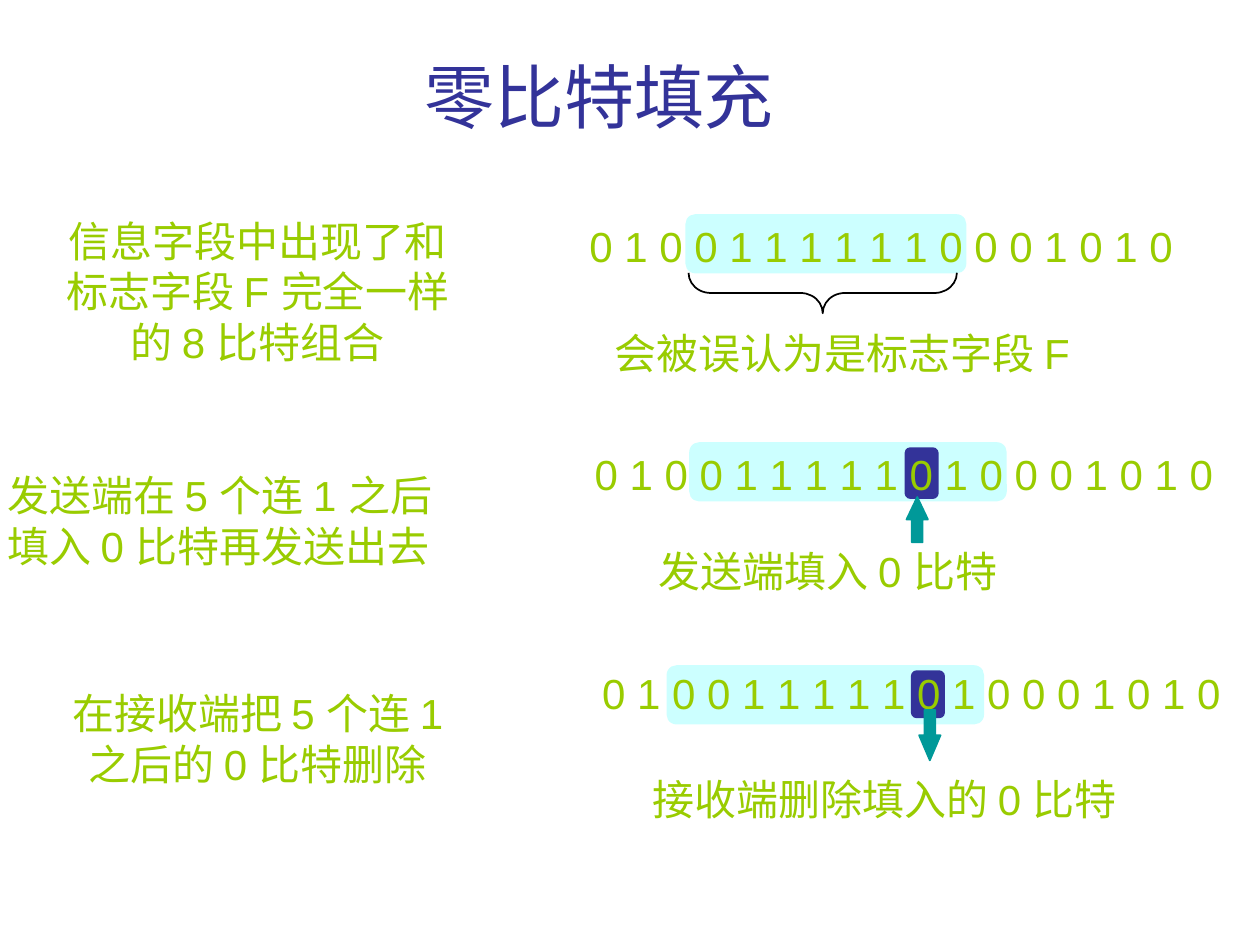
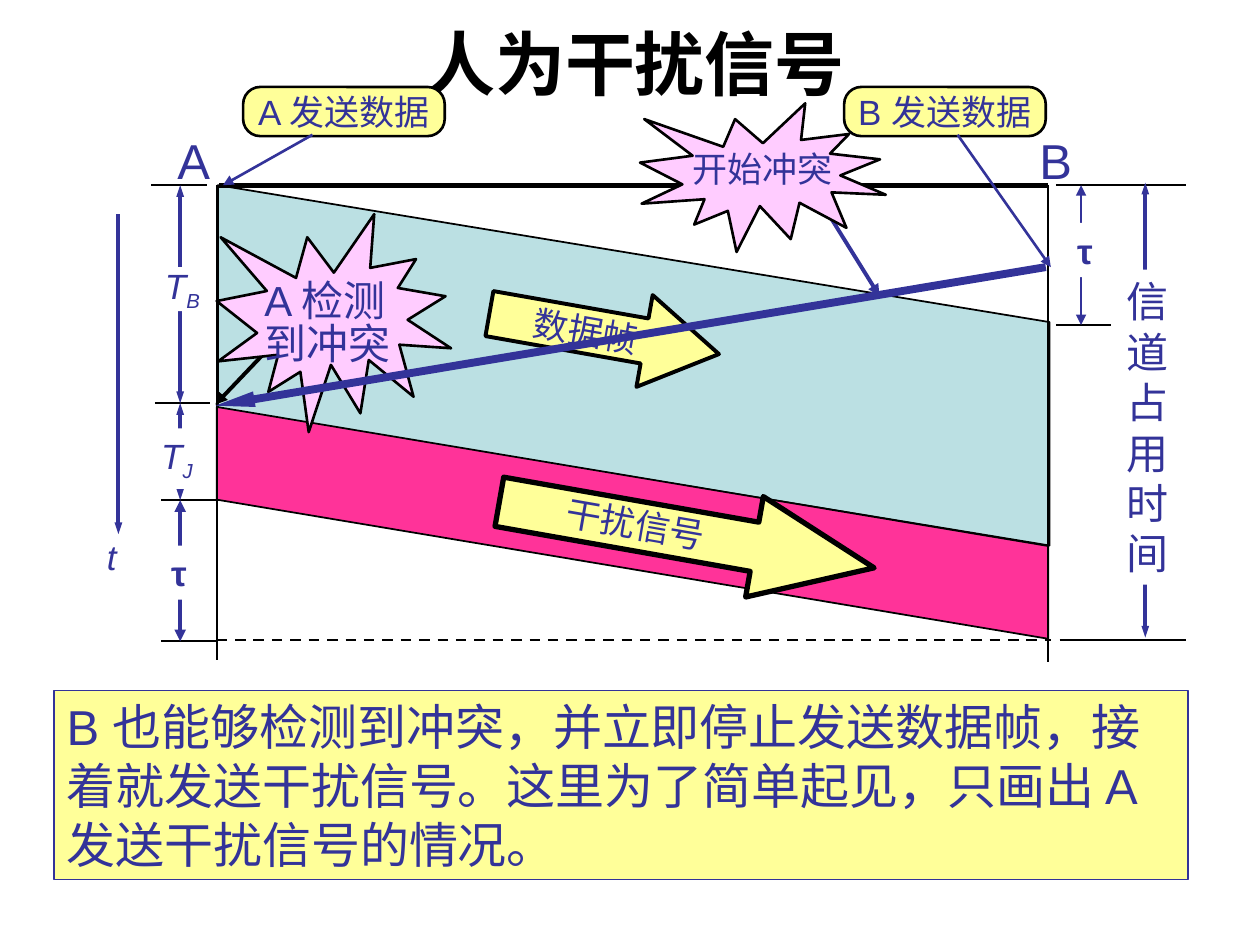
from dataclasses import dataclass

from lxml import etree
from pptx import Presentation
from pptx import util as u
from pptx.dml.color import RGBColor
from pptx.enum import dml, lang, shapes, text
from pptx.oxml import ns

# Shared grid: 100 columns by 75 rows
SLIDE_W, SLIDE_H = u.Inches(10), u.Inches(7.5)
COLUMN, ROW = SLIDE_W / 100, SLIDE_H / 75

# Shared colours and type
NAVY, LIME, TEAL, BLACK, WHITE = "333399", "99CC00", "009999", "000000", "FFFFFF"
ICE, YELLOW, PINK = "CCFFFF", "FFFF99", "FFCCFF"
FRAME_BLUE, JAM_PINK = "BBE0E3", "FF3399"
FONT, TITLE_FONT = "Arial", "Roboto"
TITLE_SIZE = 40
SHAPE = shapes.MSO_SHAPE
LEFT, CENTER = text.PP_ALIGN.LEFT, text.PP_ALIGN.CENTER

Box = tuple[float, float, float, float]


@dataclass
class Label:
    """Text in a box; subscript follows the last line."""
    box: Box
    lines: tuple[str, ...]
    size: float = 20
    color: str = NAVY
    bold: bool = False
    italic: bool = False
    subscript: str = ""
    align: text.PP_ALIGN = LEFT
    fill: str | None = None
    angle: float = 0
    spacing: float | None = None
    font: str = FONT


@dataclass
class Block:
    """A filled preset shape."""
    kind: shapes.MSO_SHAPE
    box: Box
    fill: str | None = None
    line: str | None = None
    weight: float = 1
    angle: float = 0
    adjust: tuple[float, ...] = ()


@dataclass
class Stroke:
    """A straight line with optional arrowheads."""
    start: tuple[float, float]
    end: tuple[float, float]
    color: str = BLACK
    weight: float = 1
    heads: tuple[str, ...] = ()
    head_width: str = "med"
    head_length: str = "med"
    dashed: bool = False


@dataclass
class BitRow:
    """A bit stream, its highlighted part and its explanation."""
    bits: Label
    highlight: Box
    note: Label
    caption: Label
    pointer: Block
    stuffed: Box | None = None


def rgb(hex_color: str) -> RGBColor:
    return RGBColor.from_string(hex_color)


def place(box: tuple[float, ...]) -> tuple[int, ...]:
    return tuple(round(v * unit) for v, unit in zip(box, (COLUMN, ROW) * 2))


def add_run(paragraph, words: str, label: Label, baseline: int = 0) -> None:
    run = paragraph.add_run()
    run.text = words
    font = run.font
    font.name, font.size = label.font, u.Pt(label.size)
    font.bold, font.italic = label.bold, label.italic
    font.color.rgb = rgb(label.color)
    font.language_id = lang.MSO_LANGUAGE_ID.SIMPLIFIED_CHINESE
    if baseline:
        run._r.get_or_add_rPr().set("baseline", str(baseline))


def write(frame, label: Label, wrap: bool = False) -> None:
    frame.word_wrap = wrap
    for index, line in enumerate(label.lines):
        paragraph = frame.paragraphs[0] if index == 0 else frame.add_paragraph()
        paragraph.alignment = label.align
        if label.spacing:
            paragraph.line_spacing = label.spacing
        add_run(paragraph, line, label)
    if label.subscript:
        add_run(paragraph, label.subscript, label, -25000)


def add_label(slide, label: Label) -> None:
    holder = slide.shapes.add_textbox(*place(label.box))
    holder.rotation = label.angle
    if label.fill:
        holder.fill.solid()
        holder.fill.fore_color.rgb = rgb(label.fill)
    write(holder.text_frame, label)


def add_block(slide, block: Block):
    shape = slide.shapes.add_shape(block.kind, *place(block.box))
    shape.shadow.inherit = False
    shape.rotation = block.angle
    for index, value in enumerate(block.adjust):
        shape.adjustments[index] = value
    if block.fill:
        shape.fill.solid()
        shape.fill.fore_color.rgb = rgb(block.fill)
    else:
        shape.fill.background()
    if block.line:
        shape.line.color.rgb = rgb(block.line)
        shape.line.width = u.Pt(block.weight)
    else:
        shape.line.fill.background()
    return shape


def add_stroke(slide, stroke: Stroke) -> None:
    connector = slide.shapes.add_connector(
        shapes.MSO_CONNECTOR.STRAIGHT, *place(stroke.start + stroke.end))
    connector.line.color.rgb = rgb(stroke.color)
    connector.line.width = u.Pt(stroke.weight)
    if stroke.dashed:
        connector.line.dash_style = dml.MSO_LINE.DASH
    outline = connector.line._get_or_add_ln()
    for end in stroke.heads:
        etree.SubElement(outline, ns.qn(f"a:{end}"), type="triangle",
                         w=stroke.head_width, len=stroke.head_length)
    etree.SubElement(connector._element.spPr, ns.qn("a:effectLst"))


def titled_slide(deck, title: Label):
    slide = deck.slides.add_slide(deck.slide_layouts[5])
    holder = slide.shapes.title
    holder.left, holder.top, holder.width, holder.height = place(title.box)
    frame = holder.text_frame
    frame.auto_size = text.MSO_AUTO_SIZE.NONE
    frame.vertical_anchor = text.MSO_ANCHOR.MIDDLE
    write(frame, title, wrap=True)
    return slide


# Slide 1: zero-bit stuffing
def lime(box: Box, *lines: str, align: text.PP_ALIGN = LEFT) -> Label:
    return Label(box, lines, 24, LIME, align=align)


STUFFED_BITS = "0 1 0 0 1 1 1 1 1 0 1 0 0 0 1 0 1 0"
BIT_ROWS = [
    BitRow(lime((45.8, 17, 48.3, 5), "0 1 0 0 1 1 1 1 1 1 0 0 0 1 0 1 0"),
           (54.4, 17, 22.3, 4.7),
           lime((3, 16.6, 34.9, 13), "信息字段中出现了和", "标志字段 F 完全一样",
                "的 8 比特组合", align=CENTER),
           lime((47.8, 25.5, 40.7, 5), "会被误认为是标志字段 F"),
           Block(SHAPE.LEFT_BRACE, (63.7, 12.6, 3.2, 21.3), line=BLACK,
                 angle=270, adjust=(0.55, 0.5))),
    BitRow(lime((46.2, 35.1, 51.1, 5), STUFFED_BITS),
           (54.7, 35.1, 25.2, 4.7),
           lime((-0.4, 36.8, 40.7, 9), "发送端在 5 个连 1 之后", "填入 0 比特再发送出去"),
           lime((51.3, 42.8, 31.4, 5), "发送端填入 0 比特"),
           Block(SHAPE.UP_ARROW, (71.95, 39.45, 1.7, 3.6), TEAL, TEAL,
                 adjust=(0.5, 1.05)),
           (71.8, 35.5, 2.7, 4.1)),
    BitRow(lime((46.8, 52.5, 51.1, 5), STUFFED_BITS),
           (52.9, 52.8, 25.2, 4.7),
           lime((2.6, 54.1, 35.7, 9), "在接收端把 5 个连 1", "之后的 0 比特删除",
                align=CENTER),
           lime((50.8, 60.9, 41.4, 5), "接收端删除填入的 0 比特"),
           Block(SHAPE.DOWN_ARROW, (72.95, 56.35, 1.7, 4), TEAL, TEAL,
                 adjust=(0.5, 1.17)),
           (72.3, 53.2, 2.7, 3.8)),
]


def build_bit_stuffing(deck) -> None:
    slide = titled_slide(deck, Label((22.55, 3.7, 50, 7.7), ("零比特填充",), TITLE_SIZE,
                                     align=CENTER, font=TITLE_FONT))
    for row in BIT_ROWS:
        for box, fill in ((row.highlight, ICE), (row.stuffed, NAVY)):
            if box:
                add_block(slide, Block(SHAPE.ROUNDED_RECTANGLE, box, fill, adjust=(0.167,)))
        for label in (row.bits, row.note, row.caption):
            add_label(slide, label)
        add_block(slide, row.pointer)


# Slide 2: jamming signal; A and B are the two station lines
A_X, B_X = 17.2, 83.2
TOP, DETECT, JAM_START, JAM_END, BOTTOM = 14.7, 32, 39.7, 50.9, 50.8
TAIL, BOTH = ("tailEnd",), ("headEnd", "tailEnd")


def level(x1: float, x2: float, y: float, weight: float = 1, dashed: bool = False) -> Stroke:
    return Stroke((x1, y), (x2, y), weight=weight, dashed=dashed)


def span(x: float, y1: float, y2: float, weight: float = 2.25,
         heads: tuple[str, ...] = BOTH, head_width: str = "sm") -> Stroke:
    return Stroke((x, y1), (x, y2), NAVY, weight, heads, head_width)


def burst(box: Box) -> Block:
    return Block(SHAPE.EXPLOSION1, box, PINK, BLACK, 1.5)


def tau(x: float, y: float) -> Label:
    return Label((x, y, 3.2, 4.3), ("τ",), bold=True, fill=WHITE)


BANDS = [
    Block(SHAPE.PARALLELOGRAM, (36, -4, 28.6, 66), FRAME_BLUE, BLACK, 1, 90, (0.38,)),
    Block(SHAPE.PARALLELOGRAM, (41, 8.5, 18.4, 66), JAM_PINK, BLACK, 1, 90, (0.6,)),
]
DATA_ARROW = Block(SHAPE.RIGHT_ARROW, (38.7, 22.8, 18.5, 7.4), YELLOW, BLACK, 2.25, 10,
                   (0.49, 0.81))
JAM_ARROW = Block(SHAPE.RIGHT_ARROW, (39.4, 38.4, 30.2, 8.1), YELLOW, BLACK, 3, 10,
                  (0.49, 1.19))
FRAME = [
    level(17.4, B_X, TOP, 3),
    level(A_X, 83.4, BOTTOM, 1.5, dashed=True),
    Stroke((A_X, TOP), (A_X, 52.4)), Stroke((B_X, TOP), (B_X, 52.5)),
    level(12, 16.4, TOP), level(12.3, 16.7, DETECT),
    level(12.8, A_X, JAM_START), level(12.8, A_X, JAM_END),
    level(83.8, 94.1, TOP), level(83.8, 88.2, 25.8), level(84.1, 94.1, BOTTOM),
]
SPANS = [
    span(14.3, TOP, DETECT), span(14.3, DETECT, JAM_START),
    span(14.3, JAM_START, JAM_END, head_width="med"),
    span(85.8, TOP, 25.8, 1.5, head_width="med"),
    span(90.9, 14.5, 50.6), span(9.4, 17, 42.4, heads=TAIL),
]
LABELS = [
    Label((13.1, 9.9, 4.6, 5.6), ("A",), 28),
    Label((81.5, 9.9, 4.6, 5.6), ("B",), 28),
    Label((12.1, 20.5, 4.8, 4.8), ("T",), italic=True, subscript="B"),
    Label((11.8, 34, 4.5, 4.8), ("T",), italic=True, subscript="J", fill=WHITE),
    Label((7.5, 42, 2.7, 4.4), ("t",), italic=True),
    tau(12.6, 43.3), tau(84.5, 17.7),
    Label((43.9, 39.4, 13.1, 4.4), ("干扰信号",), angle=9.9),
    Label((88.4, 21.4, 5.3, 25), tuple("信道占用时间"), 24, fill=WHITE),
]
# Each station's note with the arrow to its sending moment
SENDERS = [
    ("A 发送数据", 19.3, Stroke((24.8, 10.7), (17.7, TOP), NAVY, 1.5, TAIL)),
    ("B 发送数据", 67, Stroke((76, 10.7), (83.4, 21.2), NAVY, 1.5, TAIL)),
]
# Collision events: pointer below the burst, words on top
EVENTS = [
    (Stroke((23.1, 25.8), (17.1, 32.1), BLACK, 2.25, TAIL), burst((17.2, 17, 18.6, 17.3)),
     Label((20, 21.9, 12.6, 7.8), ("A 检测", "到冲突"), 24, spacing=0.85)),
    (Stroke((65.7, 16.9), (69.8, 23.5), NAVY, 2.25, TAIL), burst((50.8, 8.2, 19.5, 11.8)),
     Label((54, 11.2, 13.1, 4.4), ("开始冲突",))),
]
B_SIGNAL = Stroke((83, 21.2), (17.1, 32.2), NAVY, 4.5, TAIL, "sm", "lg")
SUMMARY = Label((4.3, 54.8, 90, 15), (
    "B 也能够检测到冲突，并立即停止发送数据帧，接着就发送干扰信号。"
    "这里为了简单起见，只画出 A 发送干扰信号的情况。",), 28)


def build_jamming(deck) -> None:
    slide = titled_slide(deck, Label((7.8, 1.2, 85.2, 7.6), ("人为干扰信号",), TITLE_SIZE,
                                     BLACK, bold=True, align=CENTER))
    # Signal bands and direction arrows
    for band in BANDS:
        add_block(slide, band)
    data_arrow = add_block(slide, DATA_ARROW)
    write(data_arrow.text_frame, Label(DATA_ARROW.box, ("数据帧",), align=CENTER))
    add_block(slide, JAM_ARROW)

    # Time frame, measures and their names
    for stroke in FRAME + SPANS:
        add_stroke(slide, stroke)
    add_block(slide, Block(SHAPE.RECTANGLE, (12.7, 21.2, 3.7, 3.5), WHITE))
    for label in LABELS:
        add_label(slide, label)

    # Events
    for words, left, arrow in SENDERS:
        note = Block(SHAPE.ROUNDED_RECTANGLE, (left, 6.9, 16, 3.9), YELLOW, BLACK, 1.5,
                     adjust=(0.35,))
        write(add_block(slide, note).text_frame, Label(note.box, (words,), align=CENTER))
        add_stroke(slide, arrow)
    for pointer, star, label in EVENTS:
        add_stroke(slide, pointer)
        add_block(slide, star)
        add_label(slide, label)
    add_stroke(slide, B_SIGNAL)

    # Summary
    panel = add_block(slide, Block(SHAPE.RECTANGLE, SUMMARY.box, YELLOW, NAVY, 0.75))
    panel.text_frame.vertical_anchor = text.MSO_ANCHOR.TOP
    write(panel.text_frame, SUMMARY, wrap=True)


def main() -> None:
    deck = Presentation()
    deck.slide_width, deck.slide_height = SLIDE_W, SLIDE_H
    build_bit_stuffing(deck)
    build_jamming(deck)
    deck.save("out.pptx")


if __name__ == "__main__":
    main()
